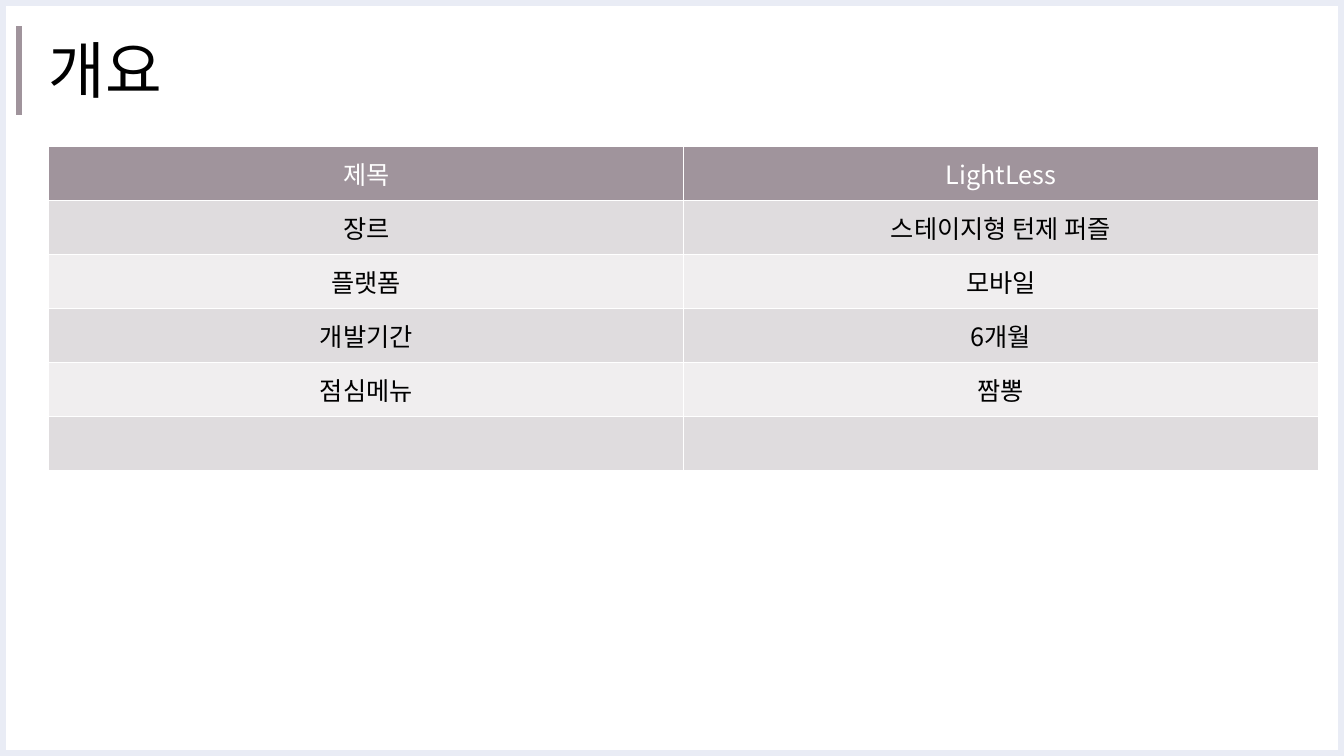
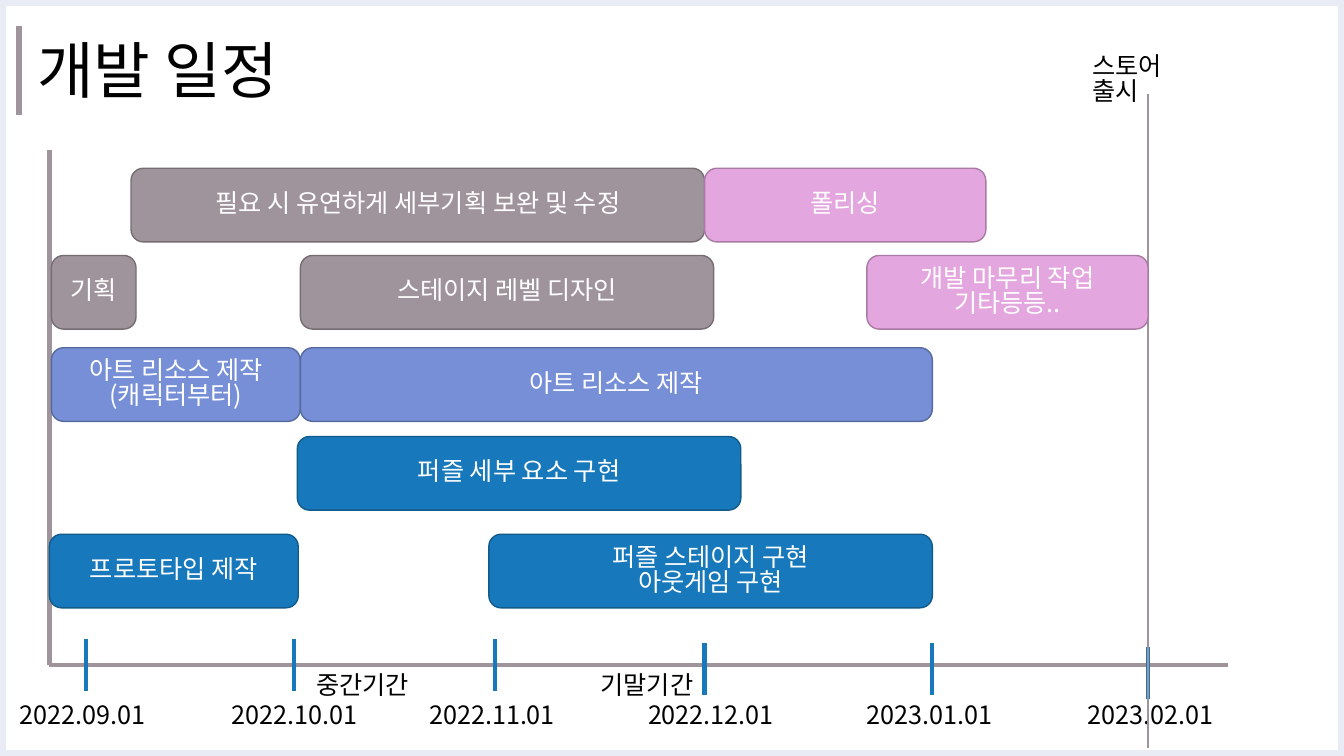
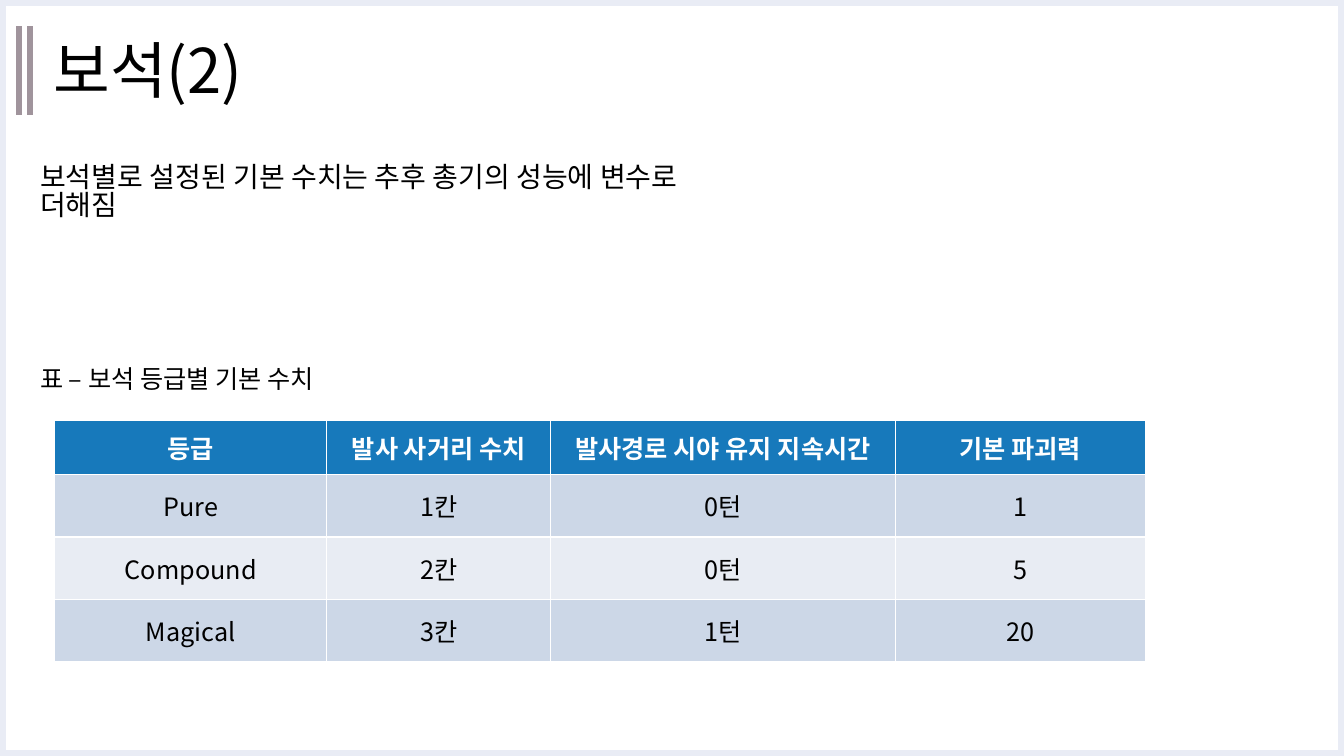
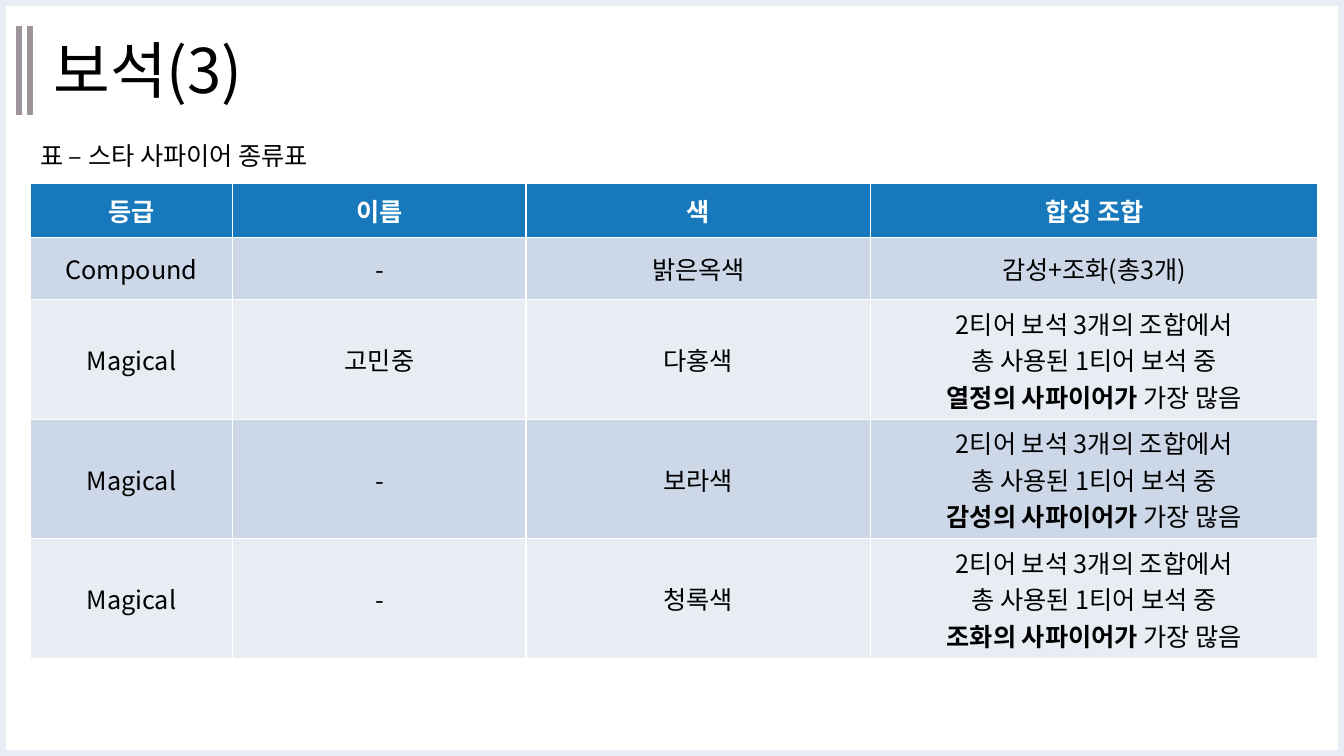
"""Builds a four-slide game project deck: overview, schedule and gem tables."""
from dataclasses import dataclass

from lxml import etree
from pptx import Presentation
from pptx.dml.color import RGBColor
from pptx.enum.shapes import MSO_CONNECTOR, MSO_SHAPE
from pptx.enum.text import MSO_ANCHOR, MSO_AUTO_SIZE, PP_ALIGN
from pptx.oxml.ns import qn
from pptx.util import Pt

LEFT, CENTER = PP_ALIGN.LEFT, PP_ALIGN.CENTER
TOP, MIDDLE = MSO_ANCHOR.TOP, MSO_ANCHOR.MIDDLE
NO_AUTOFIT = MSO_AUTO_SIZE.NONE
STRAIGHT = MSO_CONNECTOR.STRAIGHT
RECTANGLE, ROUNDED = MSO_SHAPE.RECTANGLE, MSO_SHAPE.ROUNDED_RECTANGLE
TITLE_ONLY = 5
WIDTH, HEIGHT = 960, 540


@dataclass(frozen=True)
class Theme:
    font: str = "Noto Sans CJK KR"
    title_size: int = 44
    lead_size: int = 20
    text_size: int = 18
    ink: str = "000000"
    paper: str = "FFFFFF"
    frame: str = "E9ECF5"
    mauve: str = "A0949C"
    blue: str = "1779BB"
    mauve_bands: tuple = ("DFDCDE", "F0EEEF")
    blue_bands: tuple = ("CCD7E7", "E8ECF3")
    planning: tuple = ("A0949C", "766D73")
    art: tuple = ("768FD6", "576A9E")
    coding: tuple = ("1779BB", "115A8A")
    finishing: tuple = ("E4A6DE", "A97BA4")


THEME = Theme()


class Deck:
    """Holds the style and the current slide."""

    def __init__(self, theme):
        self.theme = theme
        self.presentation = Presentation()
        self.presentation.slide_width = Pt(WIDTH)
        self.presentation.slide_height = Pt(HEIGHT)
        self.slide = None

    def set_text(self, frame, lines, size, color, align=LEFT, bold=False, spacing=None):
        """Fills a text frame; a line given as a pair starts with a bold run."""
        for index, line in enumerate(lines):
            paragraph = frame.paragraphs[0] if index == 0 else frame.add_paragraph()
            paragraph.alignment = align
            paragraph.line_spacing = spacing
            font = paragraph.font
            font.name, font.size, font.bold = self.theme.font, Pt(size), bold
            font.color.rgb = RGBColor.from_string(color)
            defaults = paragraph._p.pPr.find(qn("a:defRPr"))
            etree.SubElement(defaults, qn("a:ea"), typeface=self.theme.font)
            if isinstance(line, tuple):
                strong, rest = line
                emphasis = paragraph.add_run()
                emphasis.text, emphasis.font.bold = strong, True
                line = rest
            paragraph.add_run().text = line

    def start(self, heading, left, bars=1):
        """Adds a slide with its title, frame and accent bars."""
        layout = self.presentation.slide_layouts[TITLE_ONLY]
        self.slide = self.presentation.slides.add_slide(layout)
        title = self.slide.shapes.title
        title.left, title.top, title.width, title.height = Pt(left), 0, Pt(828), Pt(104.4)
        title.text_frame.auto_size = NO_AUTOFIT
        title.text_frame.vertical_anchor = MIDDLE
        self.set_text(title.text_frame, [heading], self.theme.title_size, self.theme.ink, spacing=0.9)
        self.shape(RECTANGLE, 0, 0, WIDTH, HEIGHT, None, self.theme.frame, 9)
        for bar in range(bars):
            x = 13.7 + 7.9 * bar
            self.line(x, 18.7, x, 82.1, self.theme.mauve, 4.5)

    def shape(self, kind, left, top, width, height, fill, outline, weight):
        """Adds a preset shape."""
        shape = self.slide.shapes.add_shape(kind, Pt(left), Pt(top), Pt(width), Pt(height))
        shape.shadow.inherit = False
        if fill:
            shape.fill.solid()
            shape.fill.fore_color.rgb = RGBColor.from_string(fill)
        else:
            shape.fill.background()
        shape.line.color.rgb = RGBColor.from_string(outline)
        shape.line.width = Pt(weight)
        return shape

    def line(self, x1, y1, x2, y2, color, weight):
        """Adds a straight line."""
        line = self.slide.shapes.add_connector(STRAIGHT, Pt(x1), Pt(y1), Pt(x2), Pt(y2))
        line.line.color.rgb = RGBColor.from_string(color)
        line.line.width = Pt(weight)
        etree.SubElement(line._element.spPr, qn("a:effectLst"))

    def task(self, left, top, width, colors, *lines):
        """Adds a schedule bar."""
        task = self.shape(ROUNDED, left, top, width, 52.6, *colors, 1)
        task.text_frame.vertical_anchor = MIDDLE
        task.text_frame.word_wrap = True
        self.set_text(task.text_frame, lines, self.theme.text_size, self.theme.paper, CENTER, spacing=0.83)

    def label(self, left, top, width, text, size=None):
        """Adds a wrapped text box."""
        label = self.slide.shapes.add_textbox(Pt(left), Pt(top), Pt(width), Pt(28.8))
        label.text_frame.word_wrap = True
        label.text_frame.vertical_anchor = TOP
        self.set_text(label.text_frame, [text], size or self.theme.text_size, self.theme.ink, spacing=0.83)

    def table(self, left, top, widths, heights, rows, head, bands, bold_head=True):
        """Adds a banded table; a cell is a text or a list of lines."""
        table = self.slide.shapes.add_table(
            len(rows), len(widths), Pt(left), Pt(top), Pt(sum(widths)), Pt(sum(heights))).table
        for column, width in zip(table.columns, widths):
            column.width = Pt(width)
        for index, (row, height, contents) in enumerate(zip(table.rows, heights, rows)):
            row.height = Pt(height)
            is_head = index == 0
            fill = head if is_head else bands[(index - 1) % 2]
            for cell, content in zip(row.cells, contents):
                cell.fill.solid()
                cell.fill.fore_color.rgb = RGBColor.from_string(fill)
                cell.vertical_anchor = MIDDLE
                if content:
                    lines = content if isinstance(content, list) else [content]
                    self.set_text(cell.text_frame, lines, self.theme.text_size,
                                  self.theme.paper if is_head else self.theme.ink,
                                  CENTER, is_head and bold_head)


def add_overview(deck):
    deck.start("개요", 27.4)
    rows = [("제목", "LightLess"), ("장르", "스테이지형 턴제 퍼즐"), ("플랫폼", "모바일"),
            ("개발기간", "6개월"), ("점심메뉴", "짬뽕"), ("", "")]
    deck.table(34.9, 104.7, [453.4] * 2, [38.6] * 6, rows,
               THEME.mauve, THEME.mauve_bands, bold_head=False)


def add_schedule(deck):
    deck.start("개발 일정", 19.4)
    axis_x, axis_y, release_x = 35.3, 475.2, 820.1
    deck.line(axis_x, axis_y, 877, axis_y, THEME.mauve, 3)
    milestones = [
        ("2022.09.01", 7.2, 61.2, 456.5), ("2022.10.01", 158.4, 210.2, 456.5),
        ("2022.11.01", 299.5, 353.5, 456.5), ("2022.12.01", 455.8, 503.3, 459.4),
        ("2023.01.01", 612, 666, 459.4), ("2023.02.01", 769.7, release_x, 462.2),
    ]
    for date, left, tick_x, tick_top in milestones:
        deck.line(tick_x, tick_top, tick_x, tick_top + 37, THEME.blue, 3)
        deck.label(left, 499.7, 108, date)
    deck.line(axis_x, axis_y, axis_x, 107.3, THEME.mauve, 3)
    deck.line(release_x, 534.2, release_x, 67, THEME.mauve, 1)
    deck.label(773.3, 36, 72, "스토어 출시")
    schedule = [
        (120.2, [(93.6, 409.7, THEME.planning, "필요 시 유연하게 세부기획 보완 및 수정"),
                 (503.3, 200.9, THEME.finishing, "폴리싱")]),
        (182.5, [(36.7, 60.5, THEME.planning, "기획"),
                 (214.6, 295.2, THEME.planning, "스테이지 레벨 디자인"),
                 (619.2, 200.9, THEME.finishing, "개발 마무리 작업", "기타등등..")]),
        (248.4, [(36.7, 177.8, THEME.art, "아트 리소스 제작", "(캐릭터부터)"),
                 (214.6, 451.4, THEME.art, "아트 리소스 제작")]),
        (311.8, [(212.4, 316.8, THEME.coding, "퍼즐 세부 요소 구현")]),
        (381.6, [(35.3, 177.8, THEME.coding, "프로토타입 제작"),
                 (349.2, 316.8, THEME.coding, "퍼즐 스테이지 구현", "아웃게임 구현")]),
    ]
    for top, tasks in schedule:
        for left, width, colors, *lines in tasks:
            deck.task(left, top, width, colors, *lines)
    for left, period in [(218.9, "중간기간"), (421.9, "기말기간")]:
        deck.label(left, 478.1, 90, period)


def add_gem_values(deck):
    deck.start("보석(2)", 31, bars=2)
    rows = [("등급", "발사 사거리 수치", "발사경로 시야 유지 지속시간", "기본 파괴력"),
            ("Pure", "1칸", "0턴", "1"), ("Compound", "2칸", "0턴", "5"),
            ("Magical", "3칸", "1턴", "20")]
    deck.table(39.1, 300.4, [194.4, 159.8, 246.2, 178.6], [38.6] + [44.6] * 3, rows,
               THEME.blue, THEME.blue_bands)
    deck.label(21.6, 259.9, 604.8, "표 – 보석 등급별 기본 수치")
    deck.label(21.6, 114.5, 497, "보석별로 설정된 기본 수치는 추후 총기의 성능에 변수로 더해짐", THEME.lead_size)


def add_sapphires(deck):
    deck.start("보석(3)", 31, bars=2)
    rows = [("등급", "이름", "색", "합성 조합"), ("Compound", "-", "밝은옥색", "감성+조화(총3개)")]
    for name, color, gem in [("고민중", "다홍색", "열정"), ("-", "보라색", "감성"), ("-", "청록색", "조화")]:
        recipe = ["2티어 보석 3개의 조합에서", "총 사용된 1티어 보석 중", (f"{gem}의 사파이어가", " 가장 많음")]
        rows.append(("Magical", name, color, recipe))
    deck.table(21.6, 131, [144.7, 209.5, 246.2, 319.4], [38.6, 44.6] + [85.2] * 3, rows,
               THEME.blue, THEME.blue_bands)
    deck.label(21.6, 100.1, 604.8, "표 – 스타 사파이어 종류표")


def main():
    deck = Deck(THEME)
    for add_slide in (add_overview, add_schedule, add_gem_values, add_sapphires):
        add_slide(deck)
    deck.presentation.save("out.pptx")


if __name__ == "__main__":
    main()
